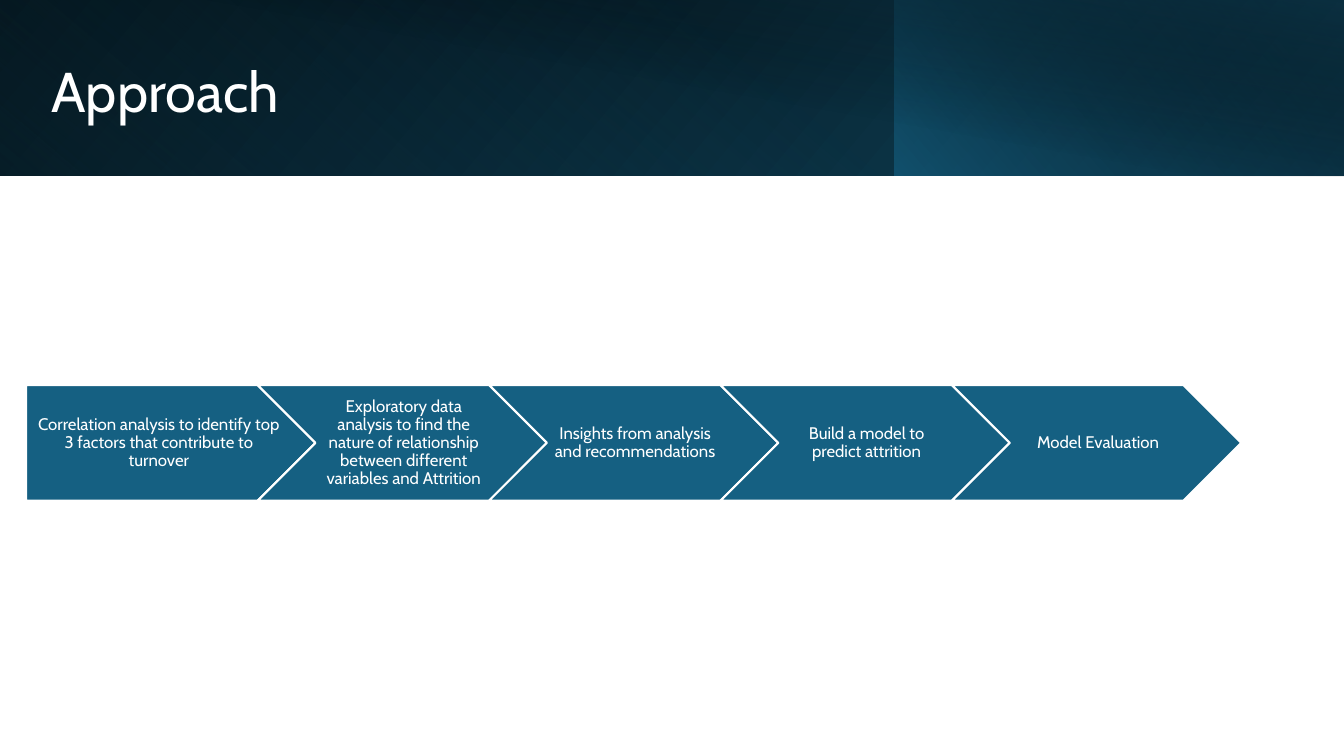
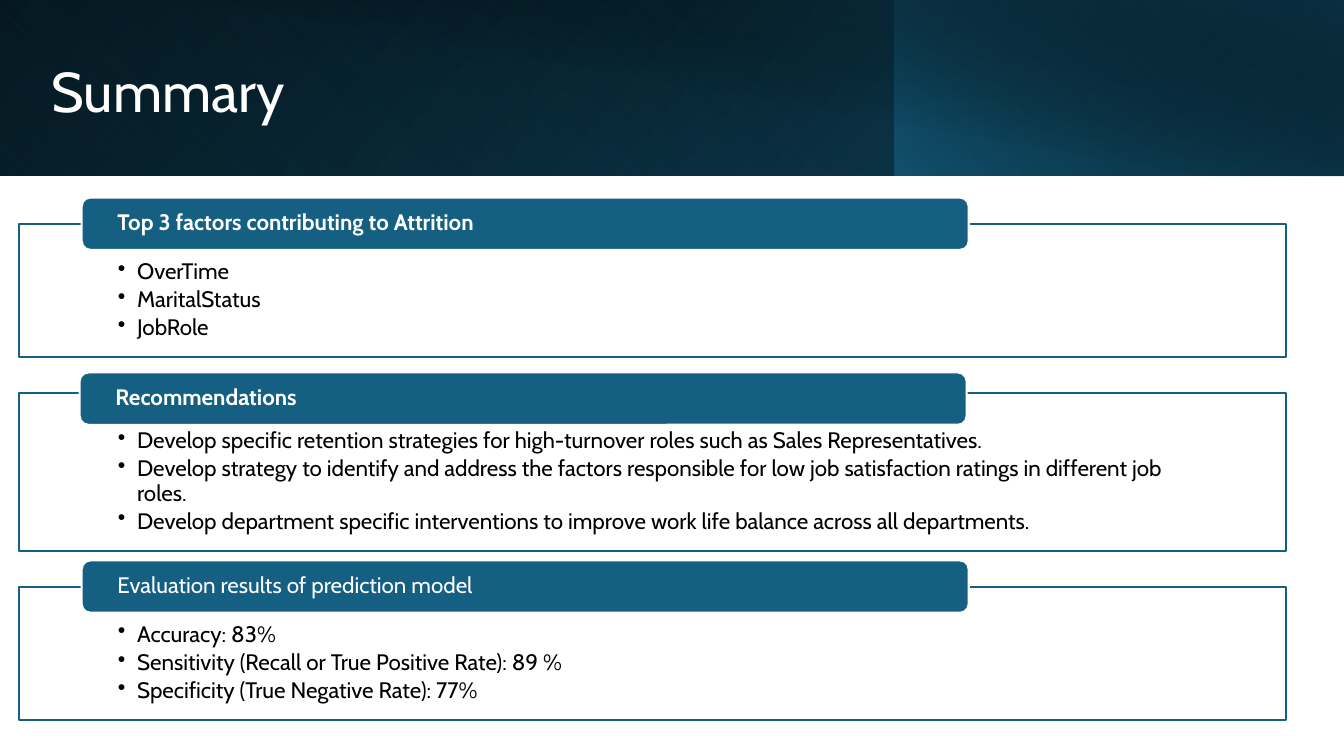
from pptx import Presentation
from pptx.dml.color import RGBColor
from pptx.enum.shapes import MSO_SHAPE as Shape
from pptx.enum.text import MSO_ANCHOR as Anchor, PP_ALIGN as Align
from pptx.oxml.ns import qn
from pptx.oxml.xmlchemy import OxmlElement
from pptx.util import Inches, Pt

COLORS = {
    "white": "FFFFFF",
    "black": "000000",
    "teal": "156082",
    "deep": "104862",
    "navy": "0B3041",
}

# box, angle, rotation, mirrored, stops as (position %, colour, opacity %)
HEADER_BANDS = [
    ((0, 0, 100, 23.2), 140, 0, True, [(0, "black", 100), (100, "deep", 100)]),
    ((0, 0, 66.6, 23.2), 230, 180, True, [(20, "teal", 0), (100, "navy", 55)]),
    ((66.54, 0, 33.46, 23.2), 220, 0, True, [(0, "teal", 66), (100, "black", 30)]),
    ((3.75, 0, 96.25, 23.33), 280, 0, False, [(50, "black", 0), (99, "navy", 52)]),
]

STEPS = [
    "Correlation analysis to identify top 3 factors that contribute to turnover",
    "Exploratory data analysis to find the nature of relationship "
    "between different variables and Attrition",
    "Insights from analysis and recommendations",
    "Build a model to predict attrition",
    "Model Evaluation",
]
STEP_PITCH = 17.22

# heading, bold, tab left, tab top, panel top, panel height, bullets
SECTIONS = [
    ("Top 3 factors contributing to Attrition", True, 6.08, 26.13, 29.6, 17.6,
     ["OverTime", "MaritalStatus", "JobRole"]),
    ("Recommendations", True, 5.93, 49.27, 52, 20.93,
     ["Develop specific retention strategies for high-turnover roles "
      "such as Sales Representatives.",
      "Develop strategy to identify and address the factors responsible "
      "for low job satisfaction ratings in different job roles.",
      "Develop department specific interventions to improve work life "
      "balance across all departments."]),
    ("Evaluation results of prediction model", False, 6.08, 74.13, 77.6, 17.6,
     ["Accuracy: 83%",
      "Sensitivity (Recall or True Positive Rate): 89 %",
      "Specificity (True Negative Rate): 77%"]),
]


def color(name):
    return RGBColor.from_string(COLORS[name])


def add_bullet(paragraph, indent=Inches(0.19)):
    properties = paragraph._p.get_or_add_pPr()
    properties.set("marL", str(indent))
    properties.set("indent", str(-indent))
    bullet = OxmlElement("a:buChar")
    bullet.set("char", "•")
    properties.insert_element_before(bullet, "a:tabLst", "a:defRPr", "a:extLst")


class Deck:
    """Holds the style and the current slide; boxes are percent of slide size."""

    font = "Cabin"

    def __init__(self):
        self.presentation = Presentation()
        self.presentation.slide_width = Inches(13.33)
        self.presentation.slide_height = Inches(7.5)
        self.slide = None

    def box(self, left, top, width, height):
        """Turn percent of the slide into lengths."""
        across = self.presentation.slide_width / 100
        down = self.presentation.slide_height / 100
        return (round(left * across), round(top * down),
                round(width * across), round(height * down))

    def new_slide(self, title):
        layout = self.presentation.slide_layouts[5]
        self.slide = self.presentation.slides.add_slide(layout)
        for band in HEADER_BANDS:
            self.band(*band)
        placeholder = self.slide.shapes.title
        (placeholder.left, placeholder.top,
         placeholder.width, placeholder.height) = self.box(3.08, 4.93, 81.15, 15.07)
        self.set_text(placeholder, [title], 40, "white")
        # The title has to lie in front of the bands.
        self.slide.shapes._spTree.append(placeholder._element)

    def shape(self, kind, box, fill=None, line=None):
        shape = self.slide.shapes.add_shape(kind, *self.box(*box))
        shape.shadow.inherit = False
        if fill:
            shape.fill.solid()
            shape.fill.fore_color.rgb = color(fill)
        if line:
            shape.line.color.rgb = color(line)
            shape.line.width = Pt(1.5)
        else:
            shape.line.fill.background()
        return shape

    def band(self, box, angle, rotation, mirrored, stops):
        shape = self.shape(Shape.RECTANGLE, box)
        shape.rotation = rotation
        properties = shape._element.spPr
        if mirrored:
            properties.find(qn("a:xfrm")).set("flipH", "1")
        shape.fill.gradient()
        shape.fill.gradient_angle = 360 - angle
        for stop, (position, name, _) in zip(shape.fill.gradient_stops, stops):
            stop.position = position / 100
            stop.color.rgb = color(name)
        for element, (_, _, opacity) in zip(properties.iter(qn("a:srgbClr")), stops):
            alpha = OxmlElement("a:alpha")
            alpha.set("val", str(opacity * 1000))
            element.append(alpha)

    def set_text(self, shape, lines, size, ink, align=Align.LEFT, anchor=Anchor.MIDDLE,
                 insets=None, bold=False, bullets=False):
        frame = shape.text_frame
        frame.word_wrap = True
        frame.vertical_anchor = anchor
        if insets:
            (frame.margin_left, frame.margin_top,
             frame.margin_right, frame.margin_bottom) = map(Inches, insets)
        frame.text = "\n".join(lines)
        for paragraph in frame.paragraphs:
            paragraph.alignment = align
            paragraph.line_spacing = 0.9
            paragraph.font.name = self.font
            paragraph.font.size = Pt(size)
            paragraph.font.bold = bold
            paragraph.font.color.rgb = color(ink)
            if bullets:
                paragraph.space_after = Pt(2.9)
                add_bullet(paragraph)

    def step(self, index, text):
        """Add one arrow of the process; the first has a flat back."""
        kind, inset = (Shape.CHEVRON, 0.05) if index else (Shape.PENTAGON, 0.07)
        arrow = self.shape(kind, (1.95 + index * STEP_PITCH, 50.93, 21.53, 15.3),
                           "teal", "white")
        self.set_text(arrow, [text], 12, "white", Align.CENTER,
                      insets=(inset, 0.04, 0.02, 0.04))

    def section(self, heading, bold, tab_left, tab_top, top, height, bullets):
        """Add an outlined list with a heading tab over its top edge."""
        panel = self.shape(Shape.RECTANGLE, (1.43, top, 94.28, height), "white", "teal")
        self.set_text(panel, bullets, 16, "black", anchor=Anchor.TOP,
                      insets=(0.98, 0.36, 0.98, 0.12), bullets=True)
        tab = self.shape(Shape.ROUNDED_RECTANGLE, (tab_left, tab_top, 66, 6.93),
                         "teal", "white")
        self.set_text(tab, [heading], 16, "white", insets=(0.33, 0, 0.33, 0), bold=bold)


def main():
    deck = Deck()
    deck.new_slide("Approach")
    for index, text in enumerate(STEPS):
        deck.step(index, text)
    deck.new_slide("Summary")
    for section in SECTIONS:
        deck.section(*section)
    deck.presentation.save("out.pptx")


if __name__ == "__main__":
    main()
